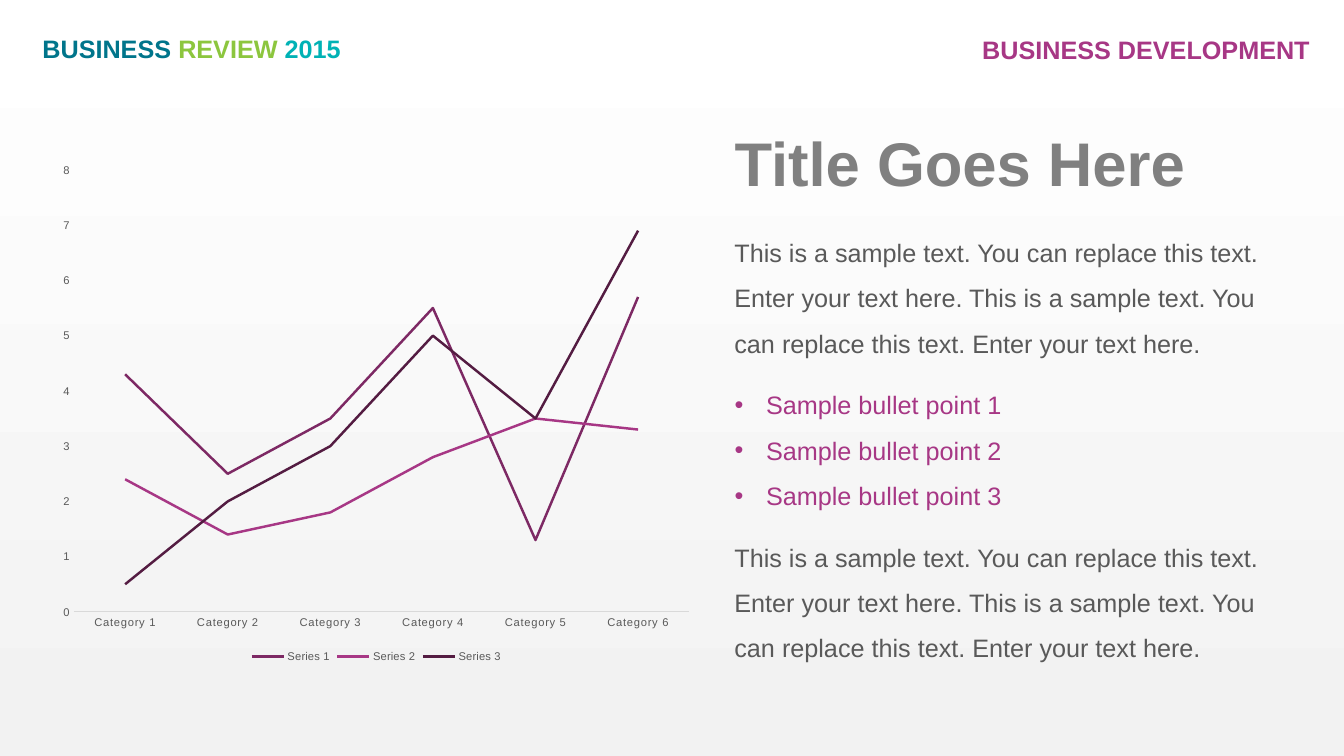
from pptx import Presentation
from pptx import util as u
from pptx.chart.data import CategoryChartData
from pptx.dml.color import RGBColor
from pptx.enum import chart as charts, text
from pptx.oxml import parse_xml
from pptx.oxml.ns import nsdecls

COLOURS = {
    "teal": "00758B", "green": "8CC63E", "aqua": "00B2B5",
    "magenta": "A73785", "plum": "7D2964", "aubergine": "541C42",
    "title": "808080", "body": "595959", "axis": "D9D9D9",
    "bottom": "F2F2F2", "top": "FFFFFF",
}
SAMPLE = ("This is a sample text. You can replace this text. Enter your text here. "
          "This is a sample text. You can replace this text. Enter your text here.")
CATEGORIES = [f"Category {n}" for n in range(1, 7)]
SERIES = [
    ("Series 1", "plum", (4.3, 2.5, 3.5, 5.5, 1.3, 5.7)),
    ("Series 2", "magenta", (2.4, 1.4, 1.8, 2.8, 3.5, 3.3)),
    ("Series 3", "aubergine", (0.5, 2, 3, 5, 3.5, 6.9)),
]
COLUMN_LEFT, COLUMN_WIDTH = 690, 547
BLOCK_TOP, BLOCK_HEIGHT, BLOCK_STEP = 213, 127, 145


def px(length):
    return u.Emu(length * 9525)


def rgb(name):
    return RGBColor.from_string(COLOURS[name])


class SlideBuilder:
    font_name = "Arial"

    def __init__(self, presentation):
        self.slide = presentation.slides.add_slide(presentation.slide_layouts[1])

    def style_font(self, font, size, colour, bold=False):
        font.name, font.size, font.bold = self.font_name, u.Pt(size), bold
        font.color.rgb = rgb(colour)

    def background(self, start, end):
        fill = self.slide.background.fill
        fill.gradient()
        fill.gradient_angle = 90
        for stop, colour in zip(fill.gradient_stops, (start, end)):
            stop.color.rgb = rgb(colour)

    def place(self, shape, box, anchor=text.MSO_ANCHOR.TOP):
        shape.left, shape.top, shape.width, shape.height = map(px, box)
        frame = shape.text_frame
        frame.word_wrap = True
        frame.auto_size = text.MSO_AUTO_SIZE.NONE
        frame.vertical_anchor = anchor
        return frame

    def text_box(self, box, **options):
        shape = self.slide.shapes.add_textbox(*map(px, box))
        return self.place(shape, box, **options)

    def header(self, box, parts, align=text.PP_ALIGN.LEFT):
        """Write one bold line from (words, colour) parts."""
        paragraph = self.text_box(box).paragraphs[0]
        paragraph.alignment = align
        for words, colour in parts:
            run = paragraph.add_run()
            run.text = words
            self.style_font(run.font, 18, colour, bold=True)

    def title(self, box, words):
        frame = self.place(self.slide.shapes.title, box)
        frame.text = words
        paragraph = frame.paragraphs[0]
        paragraph.alignment = text.PP_ALIGN.LEFT
        self.style_font(paragraph.runs[0].font, 44, "title", bold=True)

    def format_lines(self, frame, colour):
        for paragraph in frame.paragraphs:
            paragraph.line_spacing = 1.5
            paragraph.space_before = u.Pt(0)
            self.style_font(paragraph.runs[0].font, 18, colour)

    def body_text(self, box, words):
        frame = self.text_box(box, anchor=text.MSO_ANCHOR.MIDDLE)
        frame.text = words
        self.format_lines(frame, "body")

    def bullets(self, box, items):
        frame = self.place(self.slide.placeholders[1], box, text.MSO_ANCHOR.MIDDLE)
        frame.text = "\n".join(items)
        self.format_lines(frame, "magenta")
        for paragraph in frame.paragraphs:
            properties = paragraph._p.get_or_add_pPr()
            properties.set("marL", str(px(30)))
            properties.set("indent", str(px(-30)))
            properties.append(parse_xml(f'<a:buChar {nsdecls("a")} char="•"/>'))

    def line_chart(self, box, categories, series):
        data = CategoryChartData()
        data.categories = categories
        for name, _, values in series:
            data.add_series(name, values)
        chart = self.slide.shapes.add_chart(
            charts.XL_CHART_TYPE.LINE, *map(px, box), data).chart
        chart.has_title = False
        self.style_font(chart.font, 8, "body")
        chart.has_legend = True
        chart.legend.position = charts.XL_LEGEND_POSITION.BOTTOM
        chart.legend.include_in_layout = False
        self.style_font(chart.legend.font, 8, "body")

        for axis in (chart.category_axis, chart.value_axis):
            axis.has_major_gridlines = False
            axis.major_tick_mark = axis.minor_tick_mark = charts.XL_TICK_MARK.NONE
            self.style_font(axis.tick_labels.font, 8, "body")
        axis_line = chart.category_axis.format.line
        axis_line.color.rgb, axis_line.width = rgb("axis"), u.Pt(0.75)
        for properties in chart.category_axis._element.iter("{*}defRPr"):
            properties.set("spc", "40")
        value_axis = chart.value_axis
        value_axis.minimum_scale, value_axis.maximum_scale = 0, 8
        value_axis.major_unit = 1
        value_axis.format.line.fill.background()

        chart.plots[0].vary_by_categories = False
        for plotted, (_, colour, _) in zip(chart.plots[0].series, series):
            plotted.smooth = False
            plotted.format.line.color.rgb = rgb(colour)
            plotted.format.line.width = u.Pt(1.75)


def main():
    presentation = Presentation()
    presentation.slide_width, presentation.slide_height = px(1280), px(720)
    builder = SlideBuilder(presentation)
    blocks = [(COLUMN_LEFT, BLOCK_TOP + row * BLOCK_STEP, COLUMN_WIDTH, BLOCK_HEIGHT)
              for row in range(3)]

    builder.background("bottom", "top")
    builder.line_chart((48, 146, 621, 489), CATEGORIES, SERIES)
    builder.header((31, 27, 340, 38), [
        ("BUSINESS ", "teal"), ("REVIEW ", "green"), ("2015", "aqua")])
    builder.header((917, 28, 340, 38), [("BUSINESS DEVELOPMENT", "magenta")],
                   text.PP_ALIGN.RIGHT)
    builder.title((COLUMN_LEFT, 114, 570, 81), "Title Goes Here")
    builder.body_text(blocks[0], SAMPLE)
    builder.bullets(blocks[1], [f"Sample bullet point {n}" for n in range(1, 4)])
    builder.body_text(blocks[2], SAMPLE)
    presentation.save("out.pptx")


if __name__ == "__main__":
    main()
